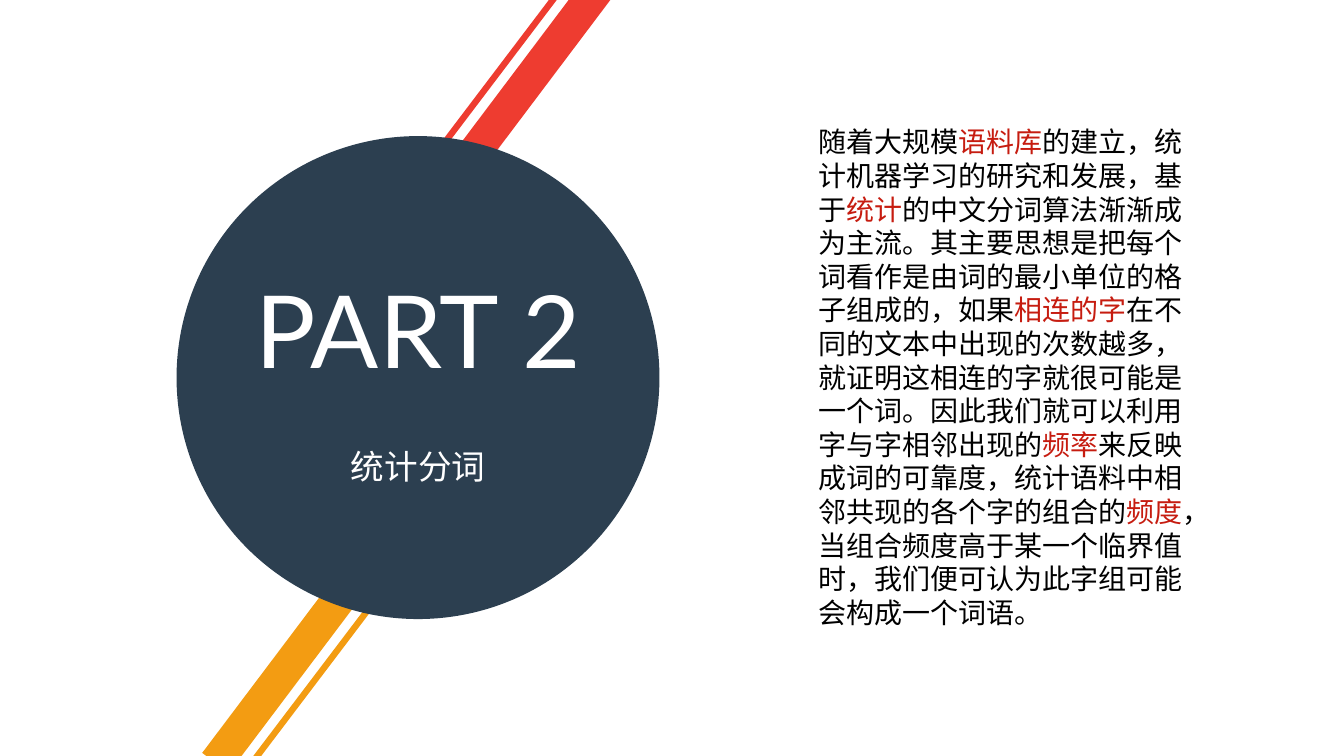
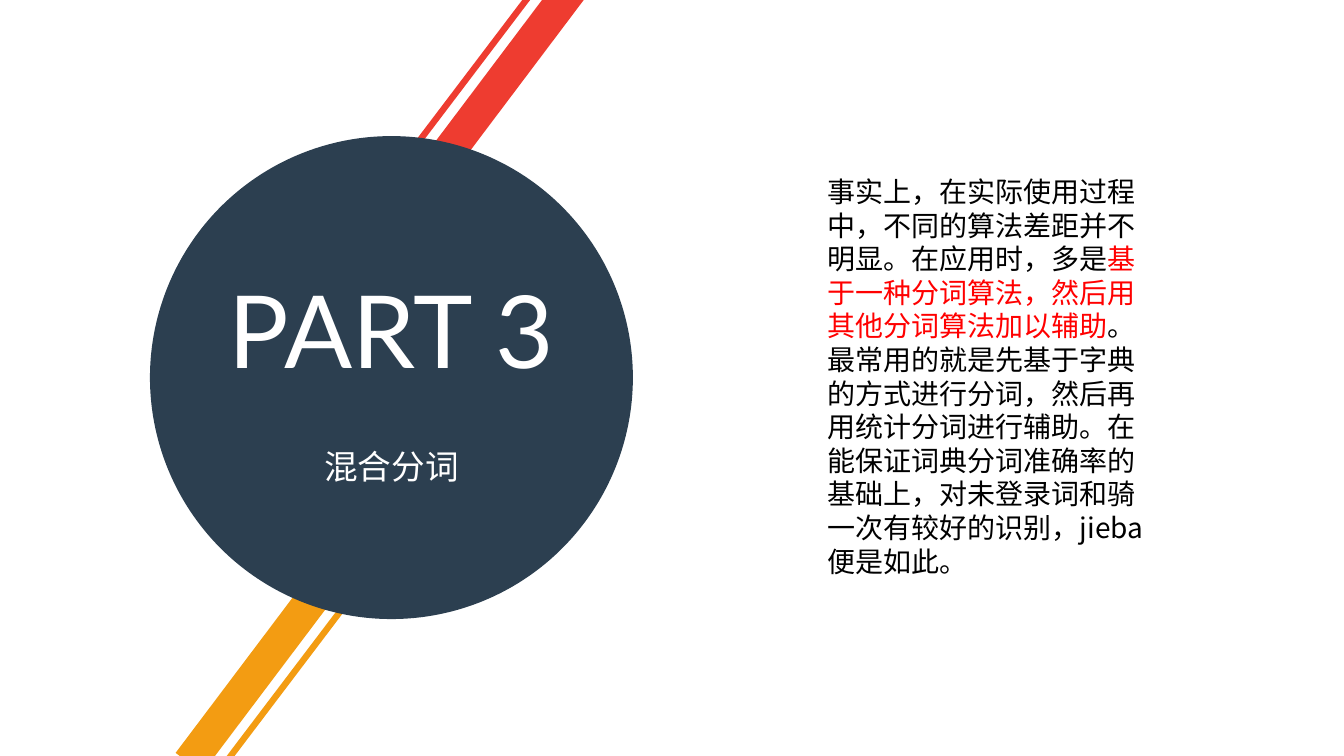
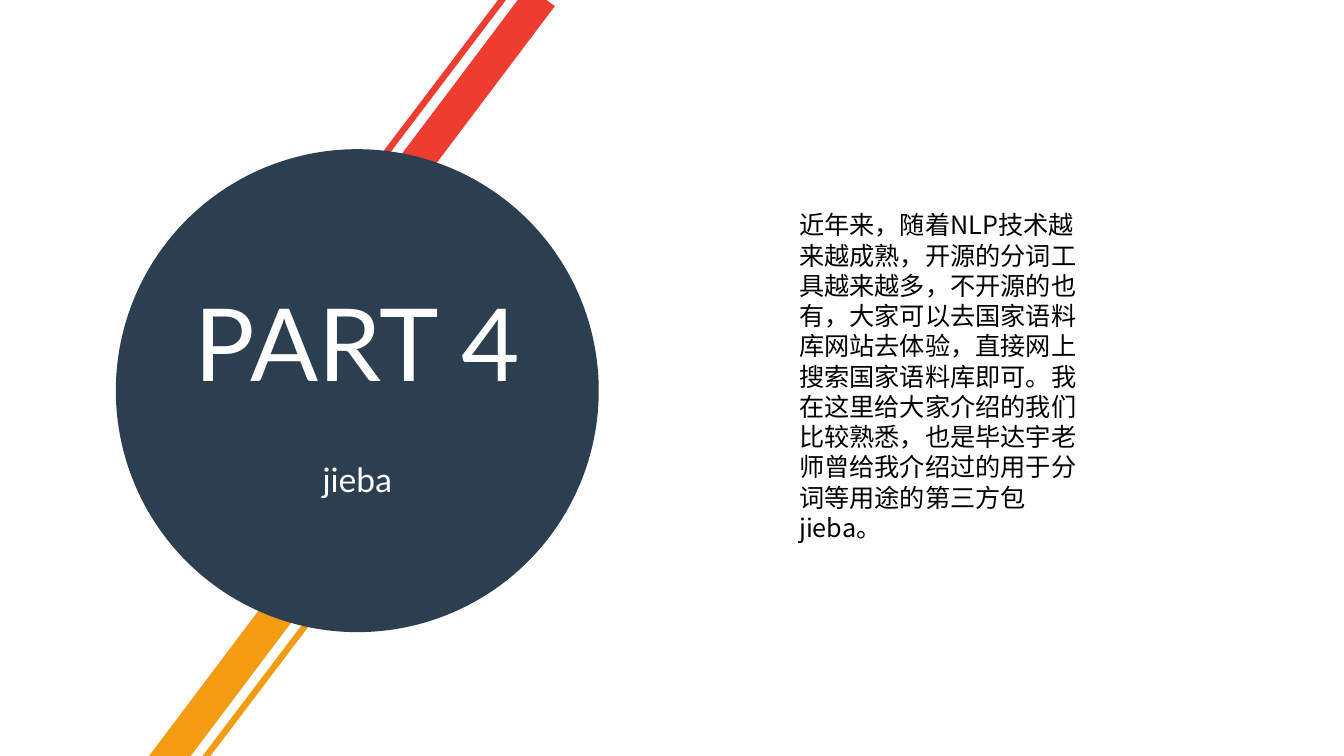
from dataclasses import dataclass

from lxml import etree
from pptx import Presentation
from pptx.dml.color import RGBColor
from pptx.enum import shapes, text
from pptx.oxml import ns
from pptx.util import Cm, Pt


@dataclass(frozen=True)
class Theme:
    navy: str = "2C3F50"
    red: str = "EE3C30"
    orange: str = "F39C12"
    white: str = "FFFFFF"
    black: str = "000000"
    dark_red: str = "C61C10"
    bright_red: str = "FF0000"
    heading_font: str = "Lato"
    body_font: str = "Noto Sans CJK SC"
    part_size: int = 72
    subtitle_size: int = 24
    stripe_width: float = 4.5


theme = Theme()

# Geometry in centimetres; offsets count from the circle's top left corner
DIAMETER = 12.17
LABEL_WIDTH = 10.36
BAND_WIDTH, BAND_LENGTH, BAND_ANGLE = 0.84, 5.31, 37
STRIPE_RUN, STRIPE_RISE = 3.54, 4.67
# colour, stripe start, band corner
RAYS = [
    (theme.red, (9.98, -4.09), (8.71, -4.39)),
    (theme.orange, (5.11, 11.56), (2.16, 11.02)),
]

# Body runs alternate between plain and highlighted text
PARTS = [
    dict(
        title="PART 2", subtitle="统计分词", circle=(4.45, 3.43),
        box=(20.37, 3.02, 9.98, 13.84), size=20, highlight=theme.dark_red,
        runs=[
            "随着大规模", "语料库",
            "的建立，统计机器学习的研究和发展，基于", "统计",
            "的中文分词算法渐渐成为主流。其主要思想是把每个词看作是由词的最小单位的格子组成的，如果",
            "相连的字",
            "在不同的文本中出现的次数越多，就证明这相连的字就很可能是一个词。"
            "因此我们就可以利用字与字相邻出现的", "频率",
            "来反映成词的可靠度，统计语料中相邻共现的各个字的组合的", "频度",
            "，当组合频度高于某一个临界值时，我们便可认为此字组可能会构成一个词语。",
        ],
    ),
    dict(
        title="PART 3", subtitle="混合分词", circle=(3.78, 3.43),
        box=(20.6, 4.27, 8.84, 10.52), size=20, highlight=theme.bright_red,
        runs=[
            "事实上，在实际使用过程中，不同的算法差距并不明显。在应用时，多是",
            "基于一种分词算法，然后用其他分词算法加以辅助",
            "。最常用的就是先基于字典的方式进行分词，然后再用统计分词进行辅助。"
            "在能保证词典分词准确率的基础上，对未登录词和骑一次有较好的识别，jieba便是如此。",
        ],
    ),
    dict(
        title="PART 4", subtitle="jieba", circle=(2.92, 3.76),
        box=(19.89, 5.16, 7.62, 8.71), size=18, highlight=theme.black,
        runs=[
            "近年来，随着NLP技术越来越成熟，开源的分词工具越来越多，不开源的也有，"
            "大家可以去国家语料库网站去体验，直接网上搜索国家语料库即可。"
            "我在这里给大家介绍的我们比较熟悉，也是毕达宇老师曾给我介绍过的"
            "用于分词等用途的第三方包jieba。",
        ],
    ),
]


def add_filled(slide, kind, left, top, width, height, color):
    shape = slide.shapes.add_shape(kind, Cm(left), Cm(top), Cm(width), Cm(height))
    shape.shadow.inherit = False
    shape.fill.solid()
    shape.fill.fore_color.rgb = RGBColor.from_string(color)
    shape.line.fill.background()
    return shape


def add_text(slide, box, runs, size, font_name, colors, alignment):
    frame = slide.shapes.add_textbox(*map(Cm, box)).text_frame
    frame.word_wrap = True
    paragraph = frame.paragraphs[0]
    paragraph.alignment = alignment
    paragraph.font.size = Pt(size)
    paragraph.font.name = font_name
    # East Asian glyphs need their own typeface entry
    properties = paragraph.font._element
    etree.SubElement(properties, ns.qn("a:ea"), typeface=theme.body_font)
    for index, content in enumerate(runs):
        run = paragraph.add_run()
        run.text = content
        run.font.color.rgb = RGBColor.from_string(colors[index % len(colors)])


presentation = Presentation()
presentation.slide_width = Cm(33.87)
presentation.slide_height = Cm(19.05)

for part in PARTS:
    slide = presentation.slides.add_slide(presentation.slide_layouts[6])
    left, top = part["circle"]

    # Thin stripe and wide band on each side of the circle
    for color, (stripe_x, stripe_y), (band_x, band_y) in RAYS:
        x, y = left + stripe_x, top + stripe_y
        stripe = slide.shapes.add_connector(
            shapes.MSO_CONNECTOR.STRAIGHT,
            Cm(x), Cm(y), Cm(x - STRIPE_RUN), Cm(y + STRIPE_RISE))
        stripe.line.color.rgb = RGBColor.from_string(color)
        stripe.line.width = Pt(theme.stripe_width)
        etree.SubElement(stripe._element.spPr, ns.qn("a:effectLst"))
        band = add_filled(slide, shapes.MSO_SHAPE.RECTANGLE, left + band_x,
                          top + band_y, BAND_WIDTH, BAND_LENGTH, color)
        band.rotation = BAND_ANGLE

    # Circle with part number and subtitle
    add_filled(slide, shapes.MSO_SHAPE.OVAL, left, top, DIAMETER, DIAMETER, theme.navy)
    label_left = left + (DIAMETER - LABEL_WIDTH) / 2
    for content, offset, height, size in [
        (part["title"], 3.18, 3.33, theme.part_size),
        (part["subtitle"], 7.67, 1.27, theme.subtitle_size),
    ]:
        add_text(slide, (label_left, top + offset, LABEL_WIDTH, height), [content],
                 size, theme.heading_font, [theme.white], text.PP_ALIGN.CENTER)

    # Body text
    add_text(slide, part["box"], part["runs"], part["size"], theme.body_font,
             [theme.black, part["highlight"]], text.PP_ALIGN.LEFT)

presentation.save("out.pptx")
